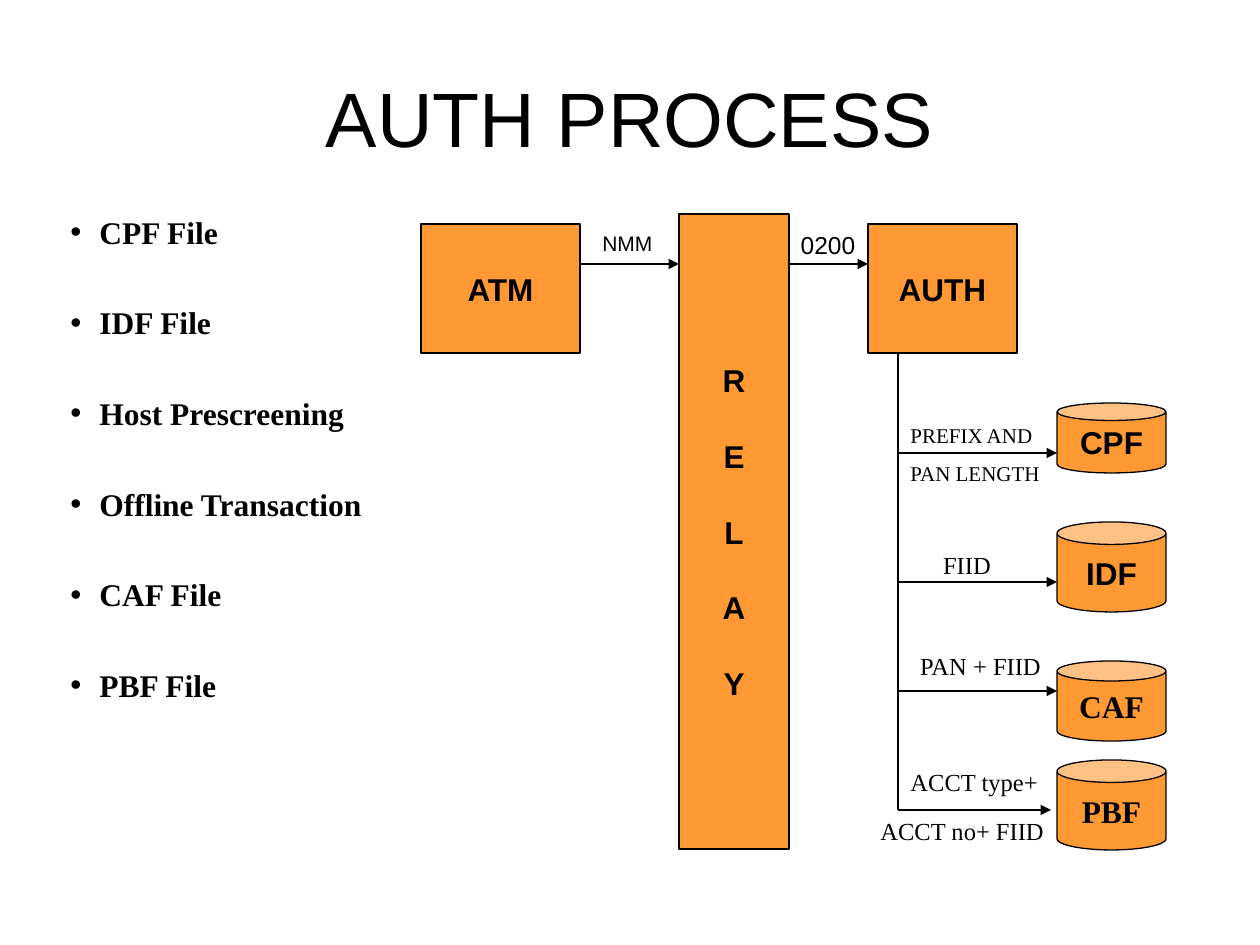
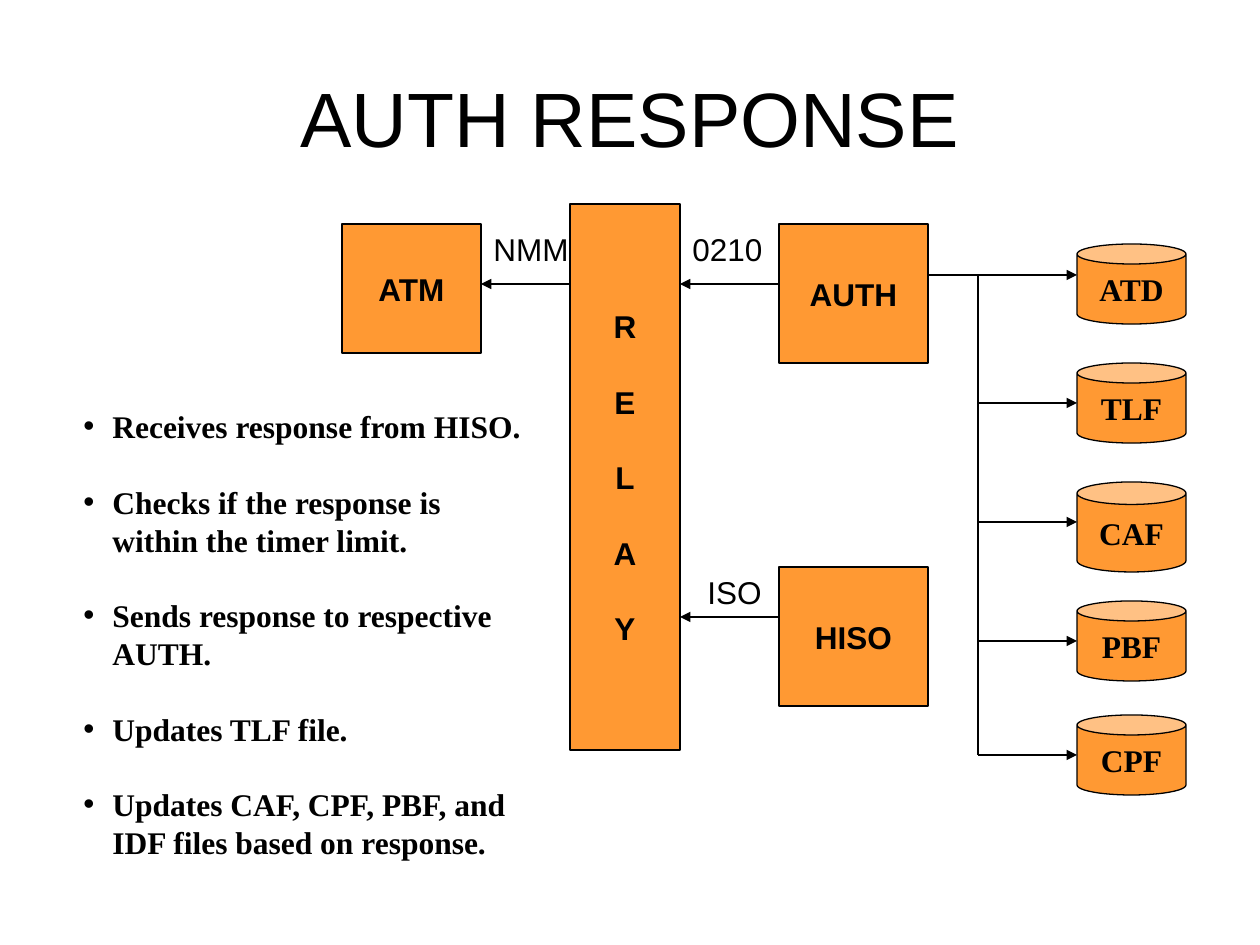
from lxml.etree import SubElement
from pptx import Presentation
from pptx.dml.color import RGBColor
from pptx.enum.shapes import MSO_CONNECTOR, MSO_SHAPE
from pptx.enum.text import MSO_ANCHOR, PP_ALIGN
from pptx.oxml.ns import qn
from pptx.util import Emu, Pt

# Shared look
COLORS = {"ink": "000000", "fill": "FF9933"}
SANS, SERIF = "Arial", "Times New Roman"
SCALE = 914400 / 126
LEFT, MID = PP_ALIGN.LEFT, PP_ALIGN.CENTER
TITLE = (63, 38, 1134, 157)
CAN_W, INDENT = 109, 29
TOWER = list("RELAY")

# Content: boxes (lines, place), cans (name, top, height, font),
# arrows and lines (x1, y1, x2, y2), labels (text, place, size, font, align)
SLIDES = [
    {
        "title": "AUTH PROCESS",
        "boxes": [
            (["ATM"], (421, 224, 159, 129)),
            (TOWER, (679, 214, 110, 635)),
            (["AUTH"], (868, 224, 149, 129)),
        ],
        "can_x": 1057,
        "cans": [
            ("CPF", 403, 70, SANS),
            ("IDF", 522, 90, SANS),
            ("CAF", 661, 80, SERIF),
            ("PBF", 760, 90, SERIF),
        ],
        "arrows": [(580, 264, 679, 264), (789, 264, 868, 264)],
        "lines": [(898, 353, 898, 810)],
        "trunk": 898,
        "taps": [(453, 1057), (582, 1057), (691, 1057), (810, 1051)],
        "labels": [
            ("NMM", (590, 224, 78, 38), 12, SANS, LEFT),
            ("0200", (780, 224, 96, 43), 14, SANS, MID),
            ("PREFIX AND", (898, 416, 160, 38), 12, SERIF, LEFT),
            ("PAN LENGTH", (898, 454, 170, 38), 12, SERIF, LEFT),
            ("FIID", (917, 544, 100, 43), 14, SERIF, MID),
            ("PAN + FIID", (900, 645, 161, 43), 14, SERIF, MID),
            ("ACCT type+", (898, 761, 170, 43), 14, SERIF, LEFT),
            ("ACCT no+ FIID", (868, 810, 200, 43), 14, SERIF, LEFT),
        ],
        "points": ["CPF File", "IDF File", "Host Prescreening",
                   "Offline Transaction", "CAF File", "PBF File"],
        "list_at": (58, 199, 413, 512),
        "pitch": 25.92,
    },
    {
        "title": "AUTH RESPONSE",
        "boxes": [
            (["ATM"], (342, 224, 139, 129)),
            (TOWER, (570, 204, 110, 546)),
            (["AUTH"], (779, 224, 149, 139)),
            (["HISO"], (779, 567, 149, 139)),
        ],
        "can_x": 1077,
        "cans": [
            ("ATD", 244, 80, SERIF),
            ("TLF", 363, 80, SERIF),
            ("CAF", 482, 90, SERIF),
            ("PBF", 601, 80, SERIF),
            ("CPF", 715, 80, SERIF),
        ],
        "arrows": [(570, 284, 481, 284), (779, 284, 680, 284),
                   (779, 617, 680, 617)],
        "lines": [(928, 275, 978, 275), (978, 275, 978, 755)],
        "trunk": 978,
        "taps": [(y, 1077) for y in (275, 403, 522, 641, 755)],
        "labels": [
            ("NMM", (481, 224, 110, 50), 18, SANS, LEFT),
            ("0210", (680, 224, 99, 50), 18, SANS, LEFT),
            ("ISO", (695, 567, 84, 50), 18, SANS, LEFT),
        ],
        "points": [
            "Receives response from HISO.",
            "Checks if the response is within the timer limit.",
            "Sends response to respective AUTH.",
            "Updates TLF file.",
            "Updates CAF, CPF, PBF, and IDF files based on response.",
        ],
        "list_at": (71, 401, 471, 466),
        "pitch": 21.6,
    },
]


def px(*nums):
    return [Emu(round(n * SCALE)) for n in nums]


def rgb(name):
    return RGBColor.from_string(COLORS[name])


def bullet(para):
    props = para._p.get_or_add_pPr()
    inset = px(INDENT)[0]
    props.set("marL", str(inset))
    props.set("indent", str(-inset))
    SubElement(props, qn("a:buFont"), typeface=SANS)
    SubElement(props, qn("a:buChar"), char="•")


def write(shape, texts, size, font, bold=False, align=MID,
          anchor=MSO_ANCHOR.MIDDLE, wrap=False, pitch=None, dots=False):
    frame = shape.text_frame
    frame.word_wrap = wrap
    frame.vertical_anchor = anchor
    look = {"size": Pt(size), "name": font, "bold": bold}
    for i, text in enumerate(texts):
        para = frame.paragraphs[0] if i == 0 else frame.add_paragraph()
        para.alignment = align
        if pitch:
            para.line_spacing = Pt(pitch)
            if i:
                para.space_before = Pt(pitch)
        if dots:
            bullet(para)
        run = para.add_run()
        run.text = text
        for key, val in look.items():
            setattr(run.font, key, val)
        run.font.color.rgb = rgb("ink")


def block(slide, kind, place, texts, font):
    shape = slide.shapes.add_shape(kind, *px(*place))
    shape.shadow.inherit = False
    shape.fill.solid()
    shape.fill.fore_color.rgb = rgb("fill")
    shape.line.color.rgb = rgb("ink")
    shape.line.width = Pt(0.75)
    pitch = 21.6 if len(texts) > 1 else None
    write(shape, texts, 18, font, bold=True, pitch=pitch)


def link(slide, ends, head=False):
    line = slide.shapes.add_connector(MSO_CONNECTOR.STRAIGHT, *px(*ends))
    line.line.color.rgb = rgb("ink")
    line.line.width = Pt(0.75)
    props = line._element.spPr
    if head:
        SubElement(props.get_or_add_ln(), qn("a:tailEnd"), type="triangle")
    SubElement(props, qn("a:effectLst"))


def label(slide, place, texts, size, font, **opts):
    box = slide.shapes.add_textbox(*px(*place))
    write(box, texts, size, font, **opts)


def build(deck, data):
    slide = deck.slides.add_slide(deck.slide_layouts[6])
    label(slide, TITLE, [data["title"]], 44, SANS, wrap=True)

    # Process boxes and file cans
    for texts, place in data["boxes"]:
        block(slide, MSO_SHAPE.RECTANGLE, place, texts, SANS)
    for name, top, high, font in data["cans"]:
        block(slide, MSO_SHAPE.CAN, (data["can_x"], top, CAN_W, high),
              [name], font)

    # Message flow and the branches off the trunk
    for ends in data["lines"]:
        link(slide, ends)
    taps = [(data["trunk"], y, end, y) for y, end in data["taps"]]
    for ends in data["arrows"] + taps:
        link(slide, ends, head=True)

    # Labels and bullet list
    for text, place, size, font, align in data["labels"]:
        label(slide, place, [text], size, font, align=align,
              anchor=MSO_ANCHOR.TOP, wrap=True)
    label(slide, data["list_at"], data["points"], 18, SERIF, bold=True,
          align=LEFT, anchor=MSO_ANCHOR.TOP, wrap=True,
          pitch=data["pitch"], dots=True)


def main():
    deck = Presentation()
    deck.slide_width, deck.slide_height = px(1260, 945)
    for data in SLIDES:
        build(deck, data)
    deck.save("out.pptx")


if __name__ == "__main__":
    main()
